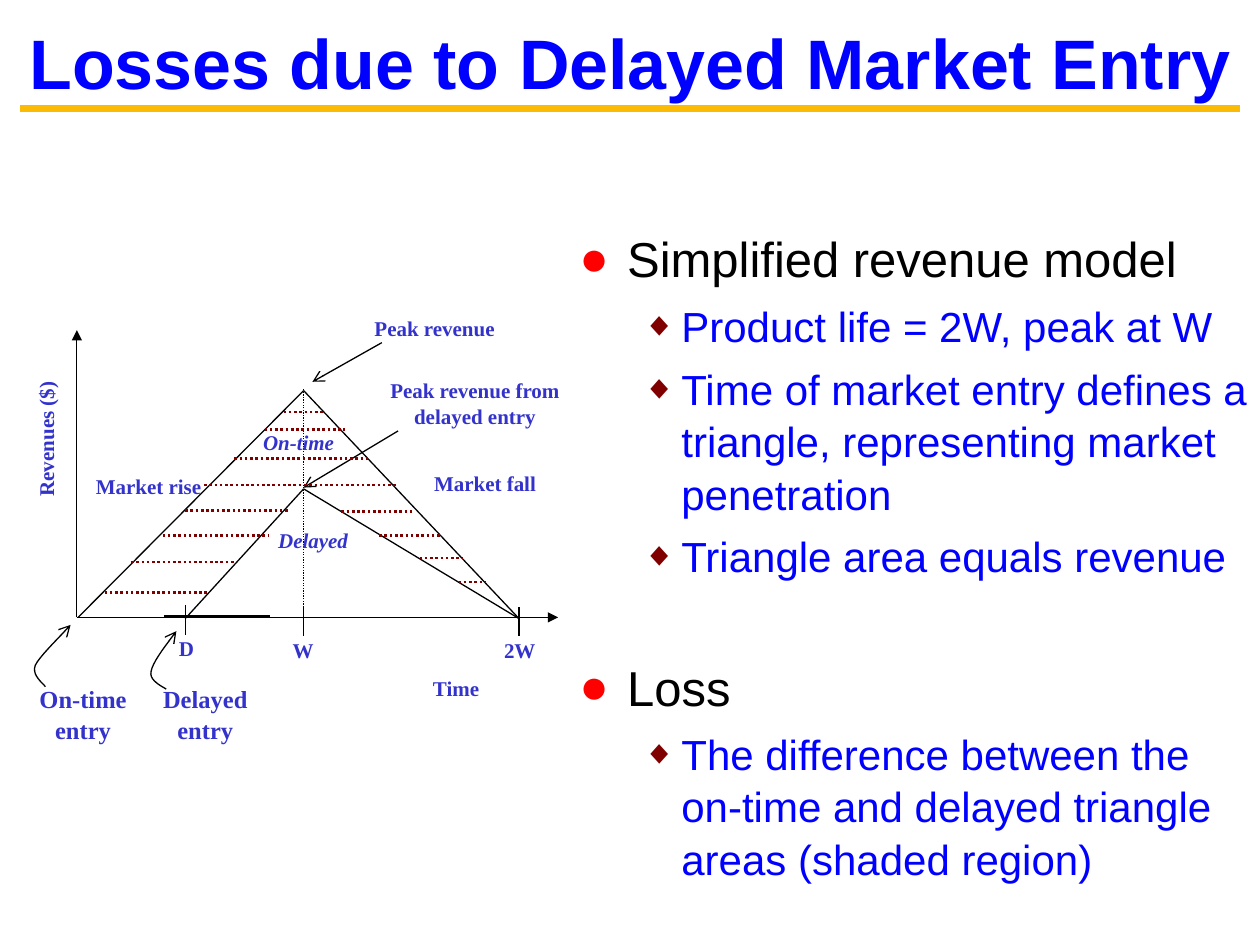
from pptx import Presentation
from pptx.dml.color import RGBColor
from pptx.enum.dml import MSO_LINE
from pptx.enum.shapes import MSO_CONNECTOR
from pptx.enum.text import MSO_ANCHOR, PP_ALIGN
from pptx.util import Pt
from lxml.etree import SubElement
from pptx.oxml.ns import qn

PX = 9144
COLORS = {
    "rule": "FBBA03", "blue": "0000FF", "label": "3333CC", "black": "000000",
    "red": "FF0000", "maroon": "800000",
}


def style_line(shape, color, width, dash=None, arrow=None):
    shape.line.color.rgb = RGBColor.from_string(COLORS[color])
    shape.line.width = Pt(width)
    if dash:
        shape.line.dash_style = dash
    properties = shape.element.spPr
    if arrow:
        SubElement(properties.get_or_add_ln(), qn("a:tailEnd"), type=arrow)
    if properties.find(qn("a:effectLst")) is None:
        SubElement(properties, qn("a:effectLst"))


def add_label(page, lines, left, top, width, height, size=12, font="Times New Roman",
              color="label", italic=False):
    box = page.shapes.add_textbox(left * PX, top * PX, width * PX, height * PX)
    frame = box.text_frame
    frame.word_wrap = True
    frame.margin_left = frame.margin_right = frame.margin_top = frame.margin_bottom = 0
    for index, line in enumerate(lines):
        para = frame.paragraphs[0] if index == 0 else frame.add_paragraph()
        para.alignment = PP_ALIGN.CENTER
        para.line_spacing = 1.04
        span = para.add_run()
        span.text = line
        span.font.name = font
        span.font.size = Pt(size)
        span.font.bold = True
        span.font.italic = italic
        span.font.color.rgb = RGBColor.from_string(COLORS[color])
    return box


deck = Presentation()
deck.slide_width = 1000 * PX
deck.slide_height = 750 * PX
page = deck.slides.add_slide(deck.slide_layouts[6])

title = add_label(page, ["Losses due to Delayed Market Entry"], 0, 14, 1000, 67,
                  size=40, font="Arial", color="blue")
title.text_frame.vertical_anchor = MSO_ANCHOR.MIDDLE

levels = [
    {"indent": 38, "hang": 38, "bullet": "●", "bullet_color": "red", "bullet_size": 100,
     "size": 28, "color": "black"},
    {"indent": 81, "hang": 31, "bullet": "◆", "bullet_color": "maroon", "bullet_size": 80,
     "size": 24, "color": "blue"},
]
points = [
    (0, "Simplified revenue model", 0),
    (1, "Product life = 2W, peak at W", 6),
    (1, "Time of market entry defines a triangle, representing market penetration", 6),
    (1, "Triangle area equals revenue", 6),
    (0, "Loss", 42),
    (1, "The difference between the on-time and delayed triangle areas (shaded region)", 6),
]
body = page.shapes.add_textbox(450 * PX, 175 * PX, 550 * PX, 530 * PX).text_frame
body.word_wrap = True
for index, (depth, text, gap) in enumerate(points):
    level = levels[depth]
    para = body.paragraphs[0] if index == 0 else body.add_paragraph()
    para.level = depth
    para.line_spacing = 1.04
    para.space_before = Pt(gap)
    properties = para._p.get_or_add_pPr()
    properties.set("marL", str(level["indent"] * PX))
    properties.set("indent", str(-level["hang"] * PX))
    bullet_color = SubElement(properties, qn("a:buClr"))
    SubElement(bullet_color, qn("a:srgbClr"), val=COLORS[level["bullet_color"]])
    SubElement(properties, qn("a:buSzPct"), val=str(level["bullet_size"] * 1000))
    SubElement(properties, qn("a:buFont"), typeface="Arial")
    SubElement(properties, qn("a:buChar"), char=level["bullet"])
    span = para.add_run()
    span.text = text
    span.font.name = "Arial"
    span.font.size = Pt(level["size"])
    span.font.color.rgb = RGBColor.from_string(COLORS[level["color"]])

origin, delay, peak, finish = 61, 147, 241, 412
axis = 490
strokes = [
    (16, 86, 984, 86, "rule", 3.75, None, None),
    (303, 272, 248, 303, "black", 0.75, None, "arrow"),
    (origin, axis, 443, axis, "black", 0.75, None, "triangle"),
    (316, 342, peak, 387, "black", 0.75, None, "arrow"),
    (peak, axis, peak, 309, "black", 0.75, MSO_LINE.ROUND_DOT, None),
    (62, axis, peak, 310, "black", 0.75, None, None),
    (peak, 310, finish, 491, "black", 0.75, None, None),
    (delay, 491, peak, 388, "black", 0.75, None, None),
    (peak, 388, finish, 491, "black", 0.75, None, None),
    (origin, axis, origin, 262, "black", 0.75, None, "triangle"),
    (delay, 480, delay, 504, "black", 0.75, None, None),
    (peak, 482, peak, 505, "black", 0.75, None, None),
    (finish, 482, finish, 505, "black", 0.75, None, None),
    (130, 489, 214, 489, "black", 0.75, None, None),
]
shading = [
    (225, 257, 327), (210, 274, 341), (186, 292, 364), (162, 314, 385),
    (147, 230, 405), (271, 329, 406), (129, 213, 425), (301, 351, 425),
    (333, 367, 443), (104, 187, 446), (364, 386, 462), (83, 166, 470),
]
for start, end, height in shading:
    strokes.append((start, height, end, height, "maroon", 1.5, MSO_LINE.ROUND_DOT, None))
for x1, y1, x2, y2, color, width, dash, arrow in strokes:
    line = page.shapes.add_connector(MSO_CONNECTOR.STRAIGHT, x1 * PX, y1 * PX, x2 * PX, y2 * PX)
    style_line(line, color, width, dash, arrow)

entry_curves = [
    [(36, 545), (34, 542), (25, 536), (28, 528), (32, 520), (50, 503), (56, 496)],
    [(132, 547), (129, 545), (118, 540), (120, 533), (121, 525), (135, 508), (140, 501)],
]
steps = 10
for curve in entry_curves:
    outline = []
    for first in (0, 3):
        controls = curve[first:first + 4]
        for step in range(1, steps + 1):
            t = step / steps
            weights = [(1 - t) ** 3, 3 * t * (1 - t) ** 2, 3 * t ** 2 * (1 - t), t ** 3]
            outline.append(tuple(
                round(PX * sum(w * point[i] for w, point in zip(weights, controls)))
                for i in (0, 1)))
    builder = page.shapes.build_freeform(curve[0][0] * PX, curve[0][1] * PX)
    builder.add_line_segments(outline, close=False)
    arrow_curve = builder.convert_to_shape()
    arrow_curve.shadow.inherit = False
    arrow_curve.fill.background()
    style_line(arrow_curve, "black", 0.75, arrow="arrow")

labels = [
    ("Peak revenue", 263, 250, 164, 28),
    ("Peak revenue from delayed entry", 295, 299, 164, 54),
    ("Market rise", 75, 375, 86, 55),
    ("Market fall", 342, 373, 86, 55),
    ("D", 133, 504, 30, 24),
    ("W", 225, 505, 31, 31),
    ("2W", 397, 505, 31, 31),
    ("Time", 280, 535, 164, 31),
]
for text, left, top, width, height in labels:
    add_label(page, [text], left, top, width, height)
add_label(page, ["On-time"], 198, 340, 78, 31, italic=True)
add_label(page, ["Delayed"], 194, 418, 109, 31, italic=True)
add_label(page, ["On-time", "entry"], 21, 542, 90, 50, size=14)
add_label(page, ["Delayed", "entry"], 118, 542, 90, 50, size=14)
revenues = add_label(page, ["Revenues ($)"], -41, 333, 164, 31)
revenues.rotation = 270

deck.save("out.pptx")
